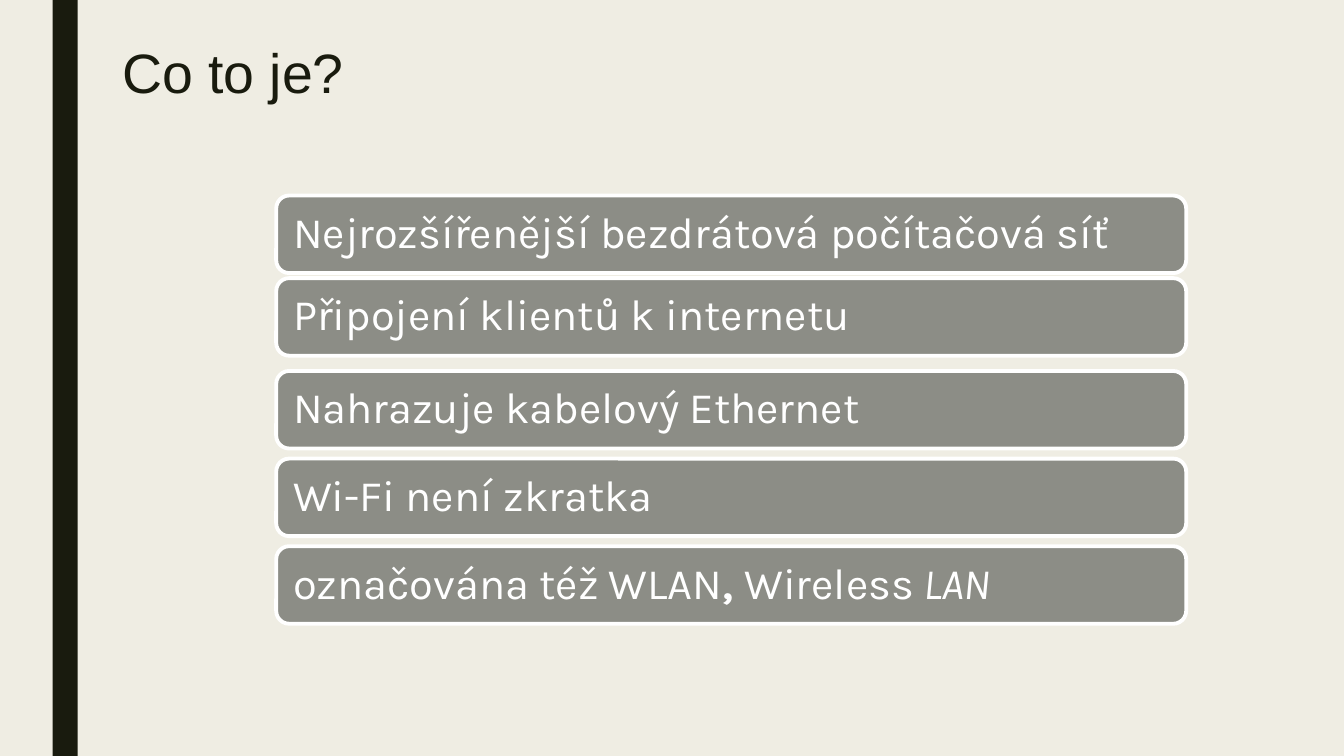
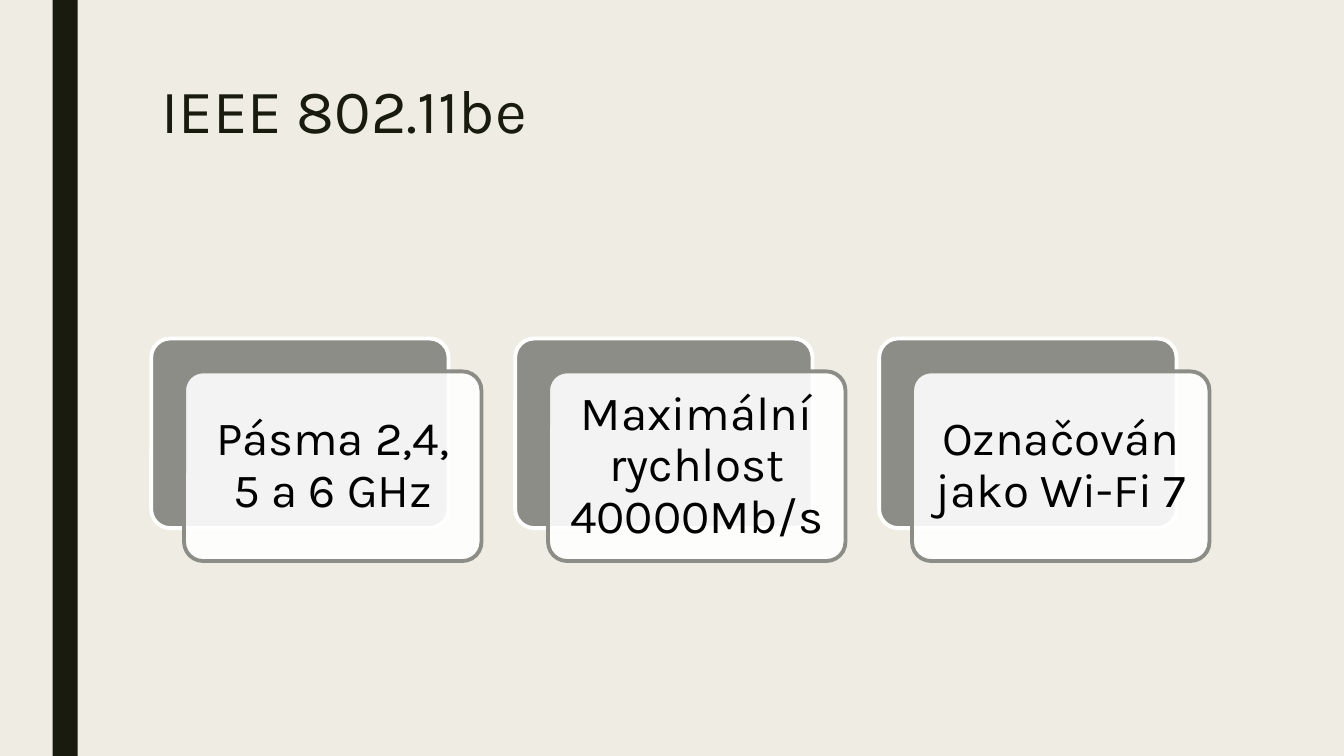
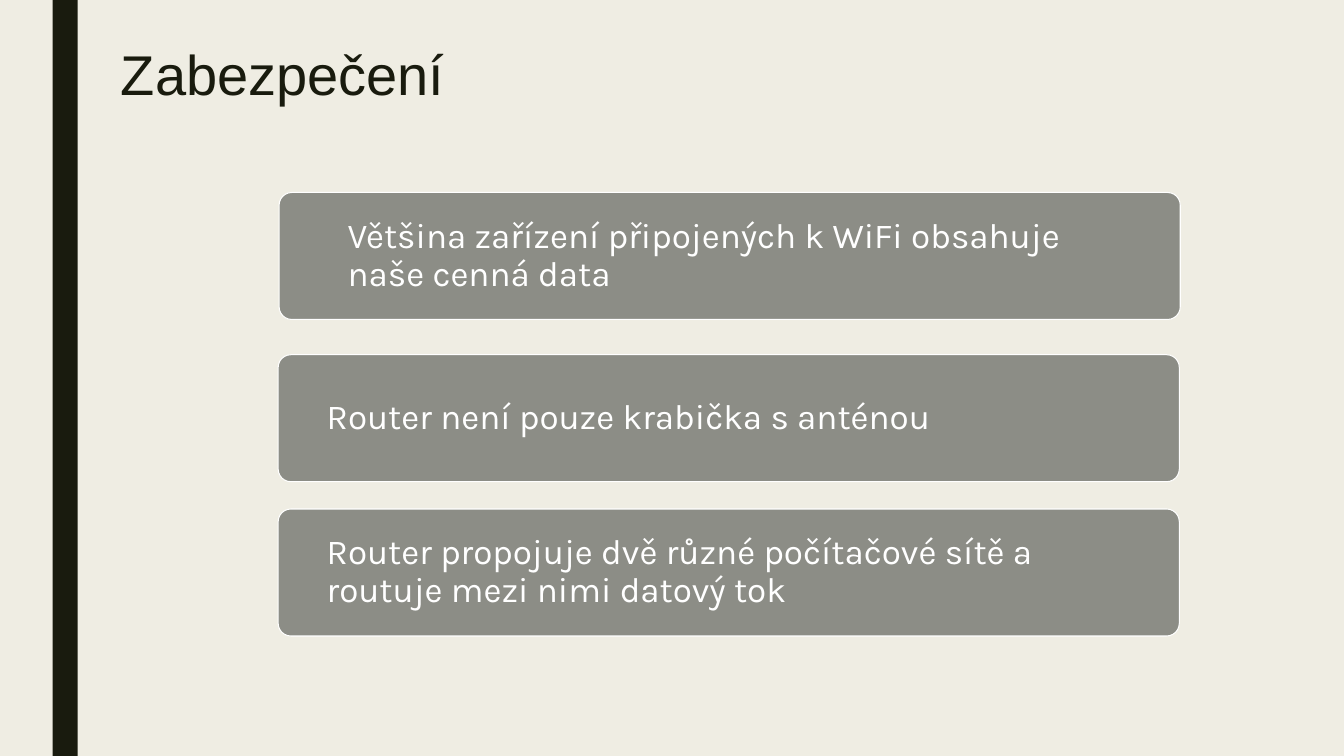
from dataclasses import dataclass

from lxml.etree import SubElement
from pptx import Presentation
from pptx.dml.color import RGBColor
from pptx.enum.shapes import MSO_SHAPE as Shape
from pptx.enum.text import MSO_ANCHOR as Anchor, PP_ALIGN as Align
from pptx.oxml.ns import qn
from pptx.util import Pt

FACTS = {
    "title": "Co to je?",
    "rows": [
        (139.7, [("Nejrozšířenější bezdrátová počítačová síť", {})]),
        (198.7, [("Připojení klientů k internetu", {})]),
        (265, [("Nahrazuje kabelový Ethernet", {})]),
        (327.6, [("Wi-Fi není zkratka", {})]),
        (390.2, [
            ("označována též WLAN", {}),
            (",\u00a0", {"bold": True}),
            ("Wireless", {}),
            (" LAN", {"italic": True}),
        ]),
    ],
}
STANDARD = {
    "title": "IEEE 802.11be",
    "cards": ["Pásma 2,4, 5 a 6 GHz", "Maximální rychlost 40000Mb/s", "Označován jako Wi-Fi 7"],
}
SECURITY = {
    "title": "Zabezpečení",
    "rows": [
        (199.4, 137.5, 46.3, 44, "Většina zařízení připojených k WiFi obsahuje naše cenná data"),
        (198.7, 253.4, 32, 9.4, "Router není pouze krabička s anténou"),
        (198.7, 363.6, 32, 16.8, "Router propojuje dvě různé počítačové sítě a routuje mezi nimi datový tok"),
    ],
}


@dataclass(frozen=True)
class Theme:
    paper: str = "EFEDE3"
    ink: str = "191B0E"
    gray: str = "8C8D86"
    white: str = "FFFFFF"
    black: str = "000000"
    heading: str = "Arial"
    body: str = "Karla"
    fact_size: float = 31
    card_size: float = 34
    security_size: float = 25
    thick: float = 2.75
    thin: float = 0.75


theme = Theme()


def paint(fill, color, opacity=None):
    fill.solid()
    fill.fore_color.rgb = RGBColor.from_string(color)
    if opacity:
        color_node = fill._xPr.find(qn("a:solidFill"))[0]
        SubElement(color_node, qn("a:alpha"), val=str(opacity * 1000))


def write(shape, text, size, color, font=theme.body, align=Align.LEFT,
          spacing=0.9, anchor=Anchor.MIDDLE, insets=(9.4, 9.4, 9.4, 9.4)):
    frame = shape.text_frame
    frame.word_wrap = True
    frame.vertical_anchor = anchor
    frame.margin_left, frame.margin_top, frame.margin_right, frame.margin_bottom = map(Pt, insets)
    para = frame.paragraphs[0]
    para.alignment = align
    para.line_spacing = spacing
    for words, style in [(text, {})] if isinstance(text, str) else text:
        span = para.add_run()
        span.text = words
        span.font.name = font
        span.font.size = Pt(size)
        span.font.color.rgb = RGBColor.from_string(color)
        span.font.bold = style.get("bold", False)
        span.font.italic = style.get("italic", False)


def add_box(page, bounds, fill, line=None, width=theme.thick, kind=Shape.ROUNDED_RECTANGLE,
            corner=None, opacity=None):
    box = page.shapes.add_shape(kind, *map(Pt, bounds))
    box.shadow.inherit = False
    paint(box.fill, fill, opacity)
    if line:
        paint(box.line.fill, line)
        box.line.width = Pt(width)
    else:
        box.line.fill.background()
    if corner:
        box.adjustments[0] = corner
    return box


def add_page(deck, title, bounds, size, font):
    page = deck.slides.add_slide(deck.slide_layouts[5])
    heading = page.shapes.title
    heading.left, heading.top, heading.width, heading.height = map(Pt, bounds)
    write(heading, title, size, theme.ink, font=font, spacing=0.89,
          anchor=Anchor.TOP, insets=(7.2, 3.6, 7.2, 3.6))
    return page


def style_master(deck, page):
    master = deck.slide_master
    paint(master.background.fill, theme.paper)
    bar = add_box(page, (37.5, 0, 18, 540), theme.ink, kind=Shape.RECTANGLE)
    master.element.cSld.spTree.insert(2, bar.element)


def build_facts(deck):
    page = add_page(deck, FACTS["title"], (80, 29.5, 285, 51), 39.6, theme.heading)
    for top, text in FACTS["rows"]:
        row = add_box(page, (197.3, top, 650, 55.4), theme.gray, theme.white)
        write(row, text, theme.fact_size, theme.white)
    return page


def build_standard(deck):
    page = add_page(deck, STANDARD["title"], (108, 54, 756, 116.6), 44, theme.body)
    left, top, width, height, pitch, shift = 108, 241.8, 212.4, 135.4, 260, 23.5
    for index, text in enumerate(STANDARD["cards"]):
        x = left + index * pitch
        add_box(page, (x, top, width, height), theme.gray, theme.white, corner=0.1)
        card = add_box(page, (x + shift, top + shift, width, height), theme.white, theme.gray,
                       corner=0.1, opacity=90)
        write(card, text, theme.card_size, theme.black, align=Align.CENTER, insets=(10, 10, 10, 10))


def build_security(deck):
    page = add_page(deck, SECURITY["title"], (79.2, 30.2, 269.3, 69.8), 40, theme.heading)
    for left, top, indent, margin, text in SECURITY["rows"]:
        row = add_box(page, (left, top, 643.7, 90.7), theme.gray, theme.white, theme.thin, corner=0.1)
        write(row, text, theme.security_size, theme.white, insets=(indent, 9.4, margin, 9.4))


deck = Presentation()
deck.slide_width, deck.slide_height = Pt(960), Pt(540)
style_master(deck, build_facts(deck))
build_standard(deck)
build_security(deck)
deck.save("out.pptx")
